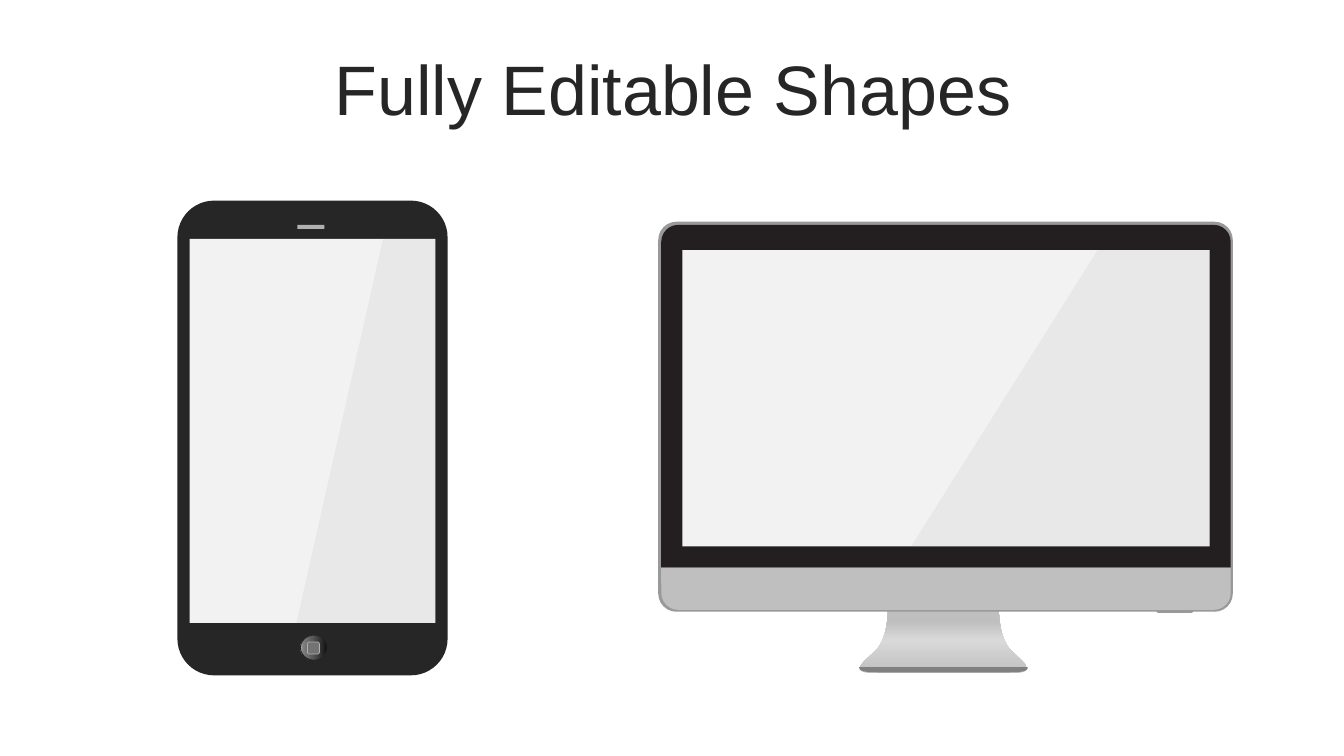
from lxml.etree import SubElement
from pptx import Presentation
from pptx.dml.color import RGBColor
from pptx.enum.shapes import MSO_SHAPE
from pptx.enum.text import MSO_ANCHOR, PP_ALIGN
from pptx.oxml.ns import qn
from pptx.util import Pt

HUES = {
    "ink": "262626", "bezel": "231F20", "edge": "999999", "chin": "BFBFBF",
    "lip": "808080", "screen": "F2F2F2", "slot": "B0B0B0", "key": "737373",
    "coal": "0F0F0F", "iron": "595959", "shine": "D9D9D9",
}
BLENDS = {
    "stand": (90, [(0, "chin"), (53, "shine"), (83, "chin"), (100, "chin")]),
    "button": (180, [(0, "coal"), (56, "iron"), (91, "lip"), (100, "chin")]),
}
TITLE = "Fully Editable Shapes"
TITLE_BOX = (25.2, 39.6, 911.5, 56.9)
FRAME = {"word_wrap": True, "vertical_anchor": MSO_ANCHOR.MIDDLE}
PARA = {"alignment": PP_ALIGN.CENTER, "line_spacing": 0.8}
FONT = {"name": "Arial", "size": Pt(50)}

RECT, ROUND = MSO_SHAPE.RECTANGLE, MSO_SHAPE.ROUNDED_RECTANGLE
OVAL, CAPPED = MSO_SHAPE.OVAL, MSO_SHAPE.ROUND_2_SAME_RECTANGLE

MID = 673.9
STAND = [
    [(39.6, 436.3), (39.6, 455.8), (48.2, 464.4)],
    [(56.9, 473), (69.8, 481), (46.8, 481)],
]
STAND_TOP = (39.6, 436.3)
LIP = [[(60.2, 479.5), (56.2, 480.2), (46.8, 480.2)]]
TAB = [[(13.3, 437.8), (12, 437.8), (11, 437.8)]]
GLARE = [(784.1, 178.6), (864, 178.6), (864, 390.3), (650.9, 390.3)]
GLINT = [(273.6, 170.6), (311, 170.6), (311, 445), (211.7, 445)]

PARTS = [
    ("bowl", (MID, STAND_TOP, STAND), "stand", {}),
    (ROUND, (470.2, 158.4, 410.4, 278.6), "edge", {"radius": 13}),
    ("bowl", (839.2, (13.3, 435.6), TAB), "edge", {}),
    (CAPPED, (472.3, 160.6, 406.8, 244.8), "bezel", {"radius": 12.2}),
    ("bowl", (MID, (60.2, 476.6), LIP), "lip", {}),
    (CAPPED, (472.3, 405.4, 406.8, 30.2), "chin", {"radius": 12.2, "turn": 180}),
    (RECT, (487.4, 178.6, 376.6, 211.7), "screen", {}),
    ("poly", GLARE, "edge", {"alpha": 10}),
    (ROUND, (126.7, 143.3, 193, 339.1), "ink", {"radius": 26.2}),
    (RECT, (212.4, 160.6, 19.4, 2.9), "slot", {}),
    (OVAL, (214.6, 453.6, 19.4, 18), "button", {"line": ("ink", 0)}),
    (ROUND, (219.6, 458.6, 8.6, 8.6), "key", {"radius": 1.4, "line": ("slot", 0.5)}),
    (RECT, (135.4, 170.6, 175.7, 274.4), "screen", {}),
    ("poly", GLINT, "edge", {"alpha": 10}),
]


def hue(name):
    return RGBColor.from_string(HUES[name])


def assign(item, values):
    for key, value in values.items():
        setattr(item, key, value)


def curve(a, b, c, d, steps=16):
    for i in range(1, steps + 1):
        t = i / steps
        u = 1 - t
        yield tuple(
            u**3 * p + 3 * u * u * t * q + 3 * u * t * t * r + t**3 * s
            for p, q, r, s in zip(a, b, c, d)
        )


def bowl(mid, start, bends):
    half = [start]
    for bend in bends:
        half.extend(curve(half[-1], *bend))
    right = [(mid + x, y) for x, y in half]
    left = [(mid - x, y) for x, y in reversed(half)]
    return right + left


def outline(points):
    dots = [(Pt(x), Pt(y)) for x, y in points]
    pen = shapes.build_freeform(*dots[0], scale=1.0)
    pen.add_line_segments(dots[1:], close=True)
    return pen.convert_to_shape()


def blend(shape, angle, stops):
    shape.fill.gradient()
    shape.fill.gradient_angle = angle
    group = shape.element.spPr.find(".//" + qn("a:gsLst"))
    for stop in list(group):
        group.remove(stop)
    for place, name in stops:
        stop = SubElement(group, qn("a:gs"), pos=str(place * 1000))
        SubElement(stop, qn("a:srgbClr"), val=HUES[name])


def paint(shape, fill, alpha=None, line=None, radius=None, turn=0):
    shape.shadow.inherit = False
    shape.rotation = turn
    if radius:
        shape.adjustments[0] = radius * 12700 / min(shape.width, shape.height)
    if fill in BLENDS:
        blend(shape, *BLENDS[fill])
    else:
        shape.fill.solid()
        shape.fill.fore_color.rgb = hue(fill)
    if alpha:
        tint = shape.element.spPr.find(qn("a:solidFill")).find(qn("a:srgbClr"))
        SubElement(tint, qn("a:alpha"), val=str(alpha * 1000))
    if line:
        name, width = line
        shape.line.color.rgb = hue(name)
        shape.line.width = Pt(width)
    else:
        shape.line.fill.background()


deck = Presentation()
deck.slide_width, deck.slide_height = Pt(960), Pt(540)
shapes = deck.slides.add_slide(deck.slide_layouts[6]).shapes

frame = shapes.add_textbox(*map(Pt, TITLE_BOX)).text_frame
assign(frame, FRAME)
para = frame.paragraphs[0]
para.text = TITLE
assign(para, PARA)
assign(para.font, FONT)
para.font.color.rgb = hue("ink")

for kind, place, fill, look in PARTS:
    if kind == "bowl":
        shape = outline(bowl(*place))
    elif kind == "poly":
        shape = outline(place)
    else:
        shape = shapes.add_shape(kind, *map(Pt, place))
    paint(shape, fill, **look)

deck.save("out.pptx")
